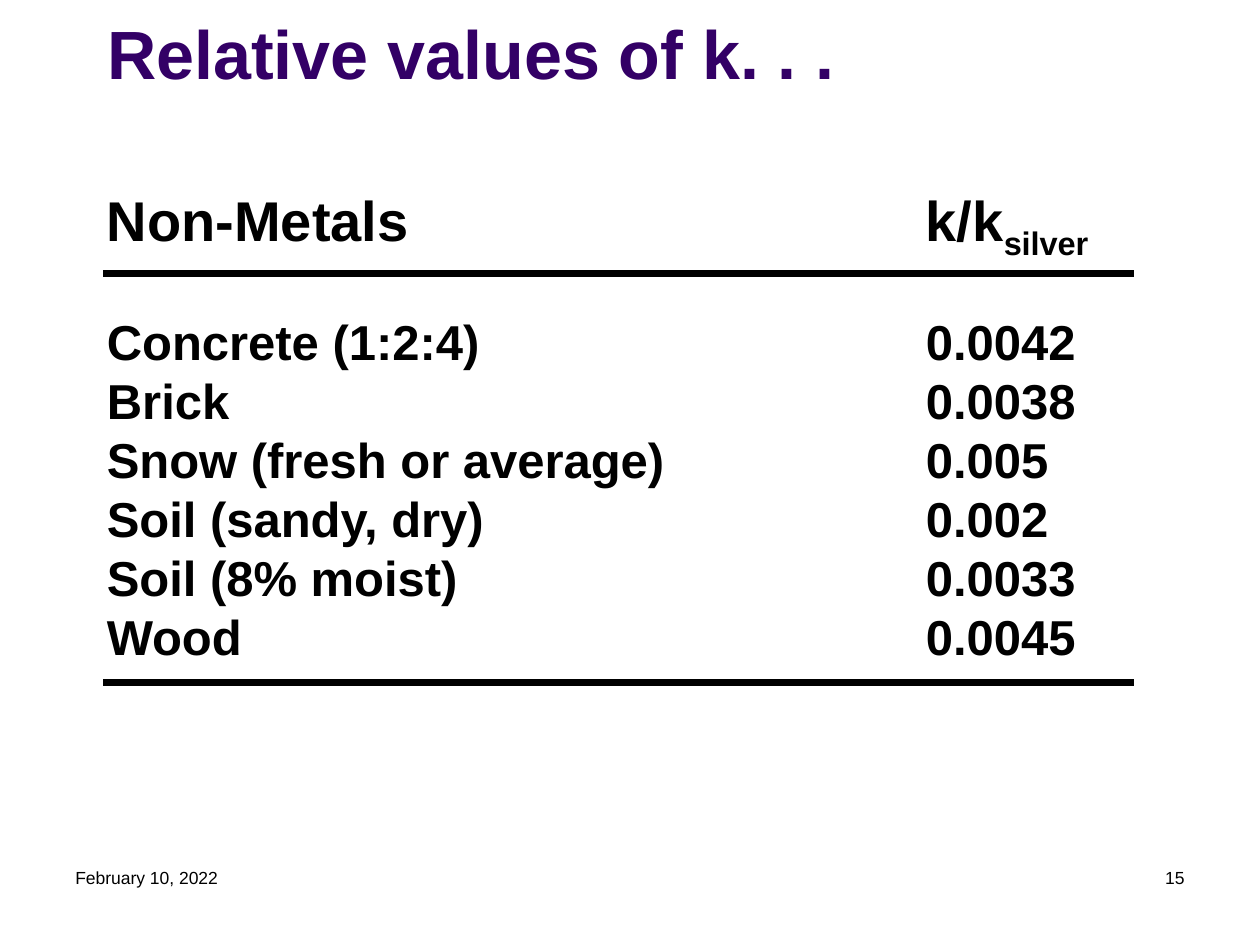
from dataclasses import dataclass

from lxml.etree import SubElement
from pptx import Presentation
from pptx.dml.color import RGBColor
from pptx.enum.shapes import MSO_CONNECTOR
from pptx.enum.text import MSO_ANCHOR, MSO_AUTO_SIZE, PP_ALIGN
from pptx.oxml.ns import qn
from pptx.util import Inches, Pt


@dataclass(frozen=True)
class Theme:
    font: str = "Arial"
    title_color: RGBColor = RGBColor(0x33, 0x00, 0x66)
    text_color: RGBColor = RGBColor(0x00, 0x00, 0x00)
    title_size: int = 39
    heading_size: int = 32
    row_size: int = 28
    footer_size: int = 10
    rule_width: int = 4


class SlideBuilder:
    def __init__(self, slide, theme):
        self.slide = slide
        self.theme = theme

    def format_paragraph(self, paragraph, size, color, bold=False):
        font = paragraph.font
        font.name, font.size, font.bold = self.theme.font, Pt(size), bold
        font.color.rgb = color

    def title(self, text, *box):
        shape = self.slide.shapes.title
        shape.left, shape.top, shape.width, shape.height = map(Inches, box)
        frame = shape.text_frame
        frame.text = text
        frame.auto_size = MSO_AUTO_SIZE.NONE
        frame.vertical_anchor = MSO_ANCHOR.MIDDLE
        paragraph = frame.paragraphs[0]
        paragraph.alignment = PP_ALIGN.LEFT
        self.format_paragraph(paragraph, self.theme.title_size,
                              self.theme.title_color, bold=True)

    def text_box(self, text, *box):
        shape = self.slide.shapes.add_textbox(*map(Inches, box))
        frame = shape.text_frame
        frame.word_wrap = True
        frame.text = text
        return frame

    def tabbed_list(self, heading, subscript, rows, tab, *box):
        text = "\n".join("\t".join(row) for row in [heading, *rows])
        first, *others = self.text_box(text, *box).paragraphs
        first.space_after = Pt(28.8)
        for paragraph in (first, *others):
            self.set_tab(paragraph, tab)
            size = self.theme.heading_size if paragraph is first else self.theme.row_size
            self.format_paragraph(paragraph, size, self.theme.text_color, bold=True)
        run = first.add_run()
        run.text = subscript
        run.font._element.set("baseline", "-25000")

    def set_tab(self, paragraph, position):
        """Add one left tab stop."""
        tabs = SubElement(paragraph._p.get_or_add_pPr(), qn("a:tabLst"))
        SubElement(tabs, qn("a:tab"), pos=str(Inches(position)), algn="l")

    def footer(self, text, alignment, *box):
        paragraph = self.text_box(text, *box).paragraphs[0]
        paragraph.alignment = alignment
        self.format_paragraph(paragraph, self.theme.footer_size, self.theme.text_color)

    def rule(self, left, right, top):
        line = self.slide.shapes.add_connector(
            MSO_CONNECTOR.STRAIGHT, Inches(left), Inches(top), Inches(right), Inches(top))
        line.line.color.rgb = self.theme.text_color
        line.line.width = Pt(self.theme.rule_width)
        SubElement(line._element.spPr, qn("a:effectLst"))


def main():
    presentation = Presentation()
    presentation.slide_width, presentation.slide_height = Inches(10), Inches(7.5)
    slide = presentation.slides.add_slide(presentation.slide_layouts[5])
    builder = SlideBuilder(slide, Theme())

    # Title
    builder.title("Relative values of k. . .", 0.75, 0, 8.5, 0.83)

    # Conductivity relative to silver
    rows = [
        ("Concrete (1:2:4)", "0.0042"),
        ("Brick", "0.0038"),
        ("Snow (fresh or average)", "0.005"),
        ("Soil (sandy, dry)", "0.002"),
        ("Soil (8% moist)", "0.0033"),
        ("Wood", "0.0045"),
    ]
    builder.tabbed_list(("Non-Metals", "k/k"), "silver", rows, 6.5,
                        0.75, 1.42, 8.53, 3.83)

    # Rules below the heading and the last row
    for top in (2.17, 5.42):
        builder.rule(0.82, 9, top)

    # Date and slide number
    builder.footer("February 10, 2022", PP_ALIGN.LEFT, 0.5, 6.83, 2.33, 0.5)
    builder.footer("15", PP_ALIGN.RIGHT, 7.17, 6.83, 2.33, 0.5)

    presentation.save("out.pptx")


if __name__ == "__main__":
    main()
